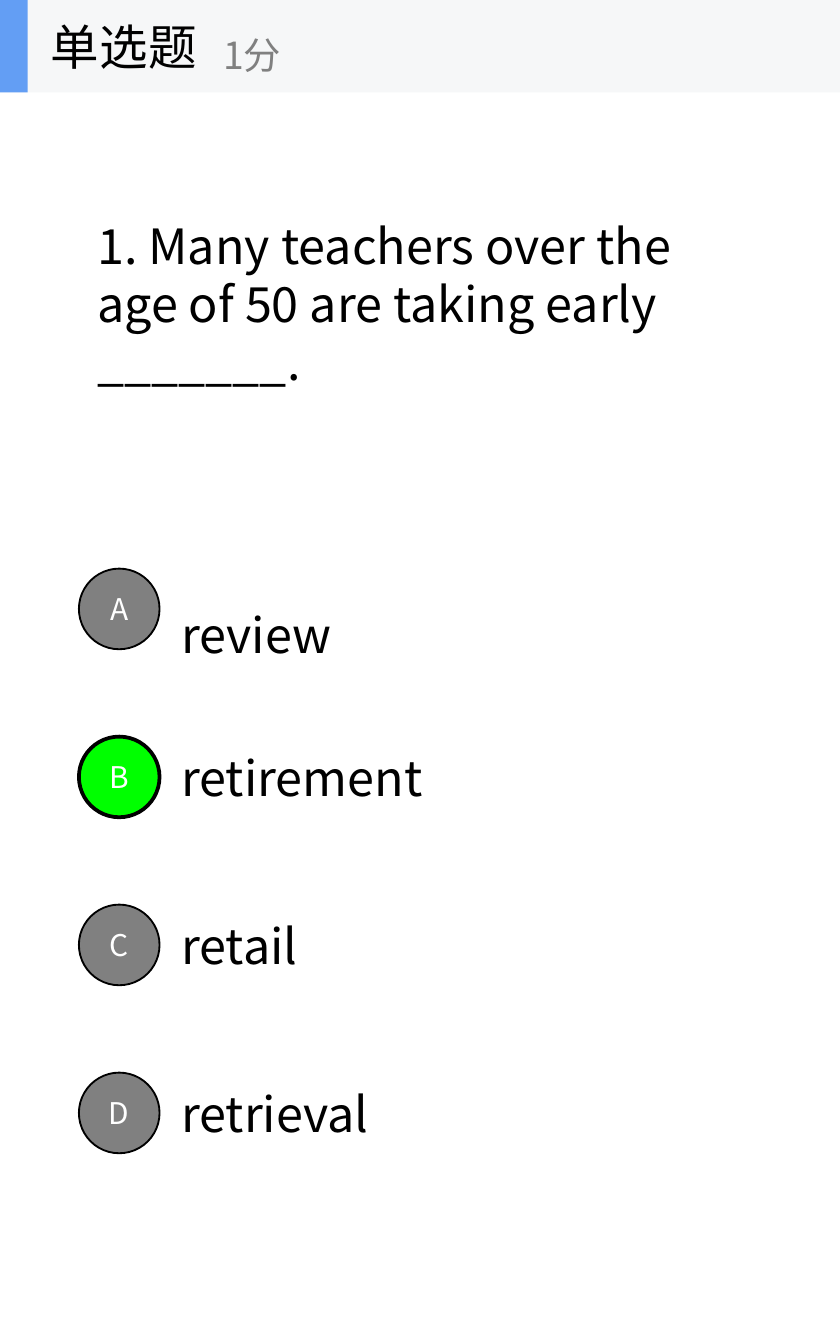
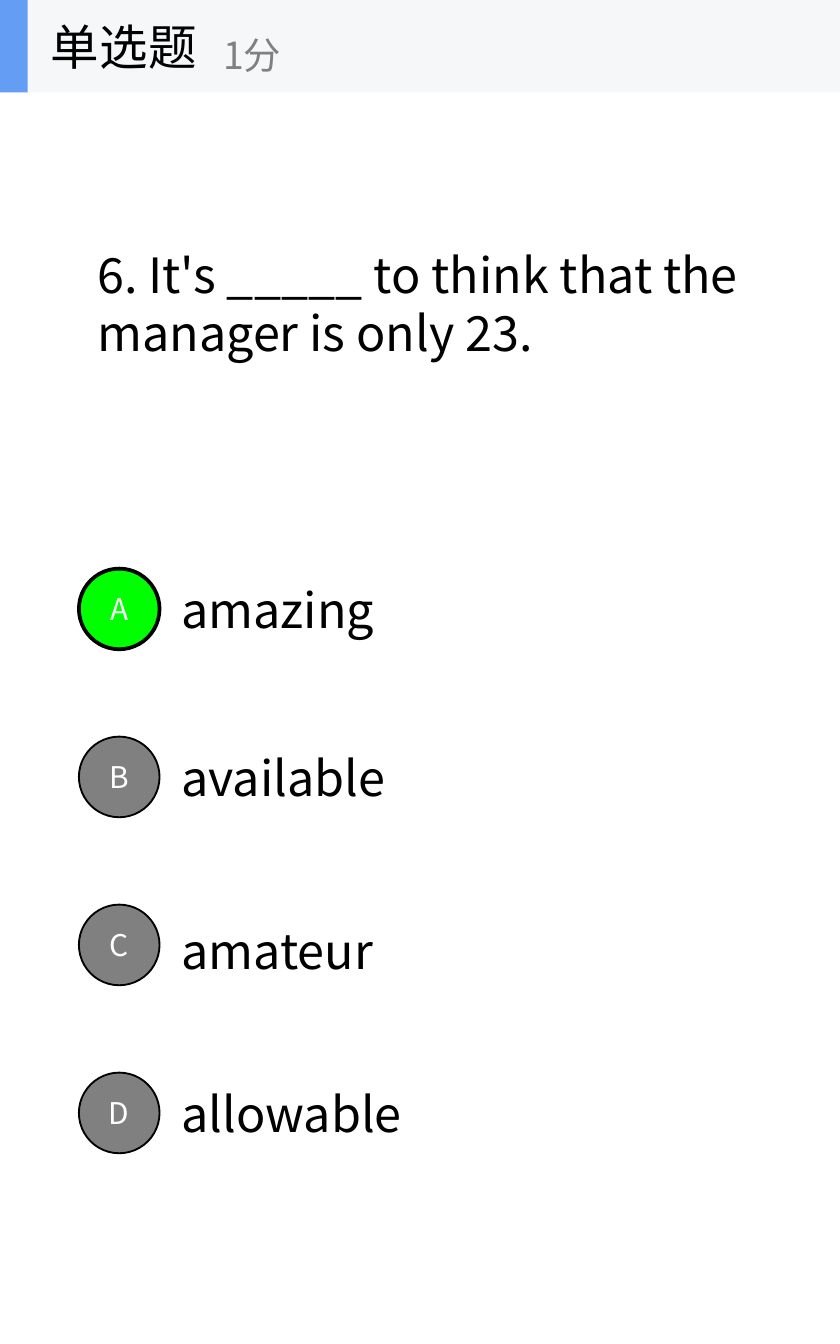
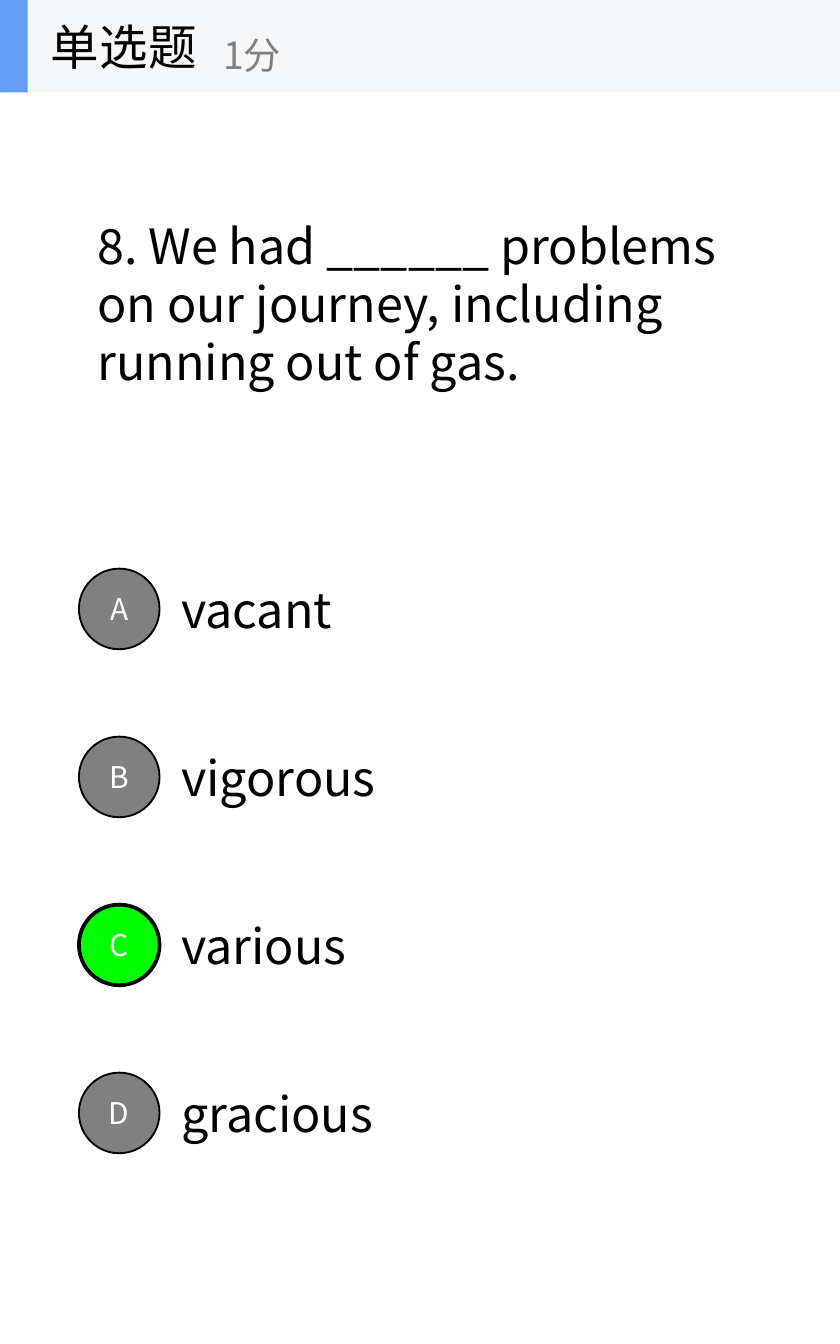
from lxml import etree
from pptx import Presentation
from pptx.dml.color import RGBColor
from pptx.enum.shapes import MSO_SHAPE
from pptx.enum.text import MSO_ANCHOR, PP_ALIGN
from pptx.oxml.ns import qn
from pptx.util import Inches, Pt

RECTANGLE = MSO_SHAPE.RECTANGLE
OVAL = MSO_SHAPE.OVAL
MIDDLE = MSO_ANCHOR.MIDDLE
LEFT = PP_ALIGN.LEFT
CENTER = PP_ALIGN.CENTER

COLORS = {
    "ink": "000000",
    "muted": "808080",
    "correct": "00FF00",
    "band": "F6F7F8",
    "accent": "639EF4",
    "white": "FFFFFF",
}
FONT = "Noto Sans CJK SC"
COLUMNS, ROWS = 10, 16
BAND_HEIGHT = 1.1
LINE_HEIGHT = 0.7
TEXT_PADDING = 0.16
QUESTION_MIDDLE = 3.61
FIRST_OPTION, OPTION_STEP = 7.25, 2
BADGE_LEFT, BADGE_SIZE = 0.94, 0.96

QUESTIONS = [
    {
        "text": "1. Many teachers over the age of 50 are taking early _______.",
        "width": 7.73, "lines": 3, "answer": "B",
        "options": [("review", 2.32, 2, 0.3), ("retirement", 4.1, 1, 0),
                    ("retail", 3.74, 1, 0), ("retrieval", 3.81, 1, 0)],
    },
    {
        "text": "6. It's _____ to think that the manager is only 23.",
        "width": 7.98, "lines": 2, "answer": "A",
        "options": [("amazing", 6.26, 1, 0), ("available", 5.65, 1, 0),
                    ("amateur", 6, 1, 0.06), ("allowable", 3.63, 1, 0)],
    },
    {
        "text": "8. We had ______ problems on our journey, including running out of gas.",
        "width": 7.98, "lines": 3, "answer": "C",
        "options": [("vacant", 6.56, 1, 0), ("vigorous", 6.56, 1, 0),
                    ("various", 6.4, 1, 0), ("gracious", 6.4, 1, 0)],
    },
]


class QuizDeck:
    def __init__(self):
        self.presentation = Presentation()
        self.presentation.slide_width = Inches(6.25)
        self.presentation.slide_height = Inches(10)
        self.slide = None

    def new_slide(self):
        self.slide = self.presentation.slides.add_slide(self.presentation.slide_layouts[6])

    def place(self, left, top, width, height):
        column = self.presentation.slide_width / COLUMNS
        row = self.presentation.slide_height / ROWS
        return round(left * column), round(top * row), round(width * column), round(height * row)

    def fill_text(self, shape, text, size, color, align=LEFT, wrap=True):
        frame = shape.text_frame
        frame.word_wrap = wrap
        frame.vertical_anchor = MIDDLE
        paragraph = frame.paragraphs[0]
        paragraph.alignment = align
        run = paragraph.add_run()
        run.text = text
        run.font.size = Pt(size)
        run.font.name = FONT
        run.font.color.rgb = RGBColor.from_string(COLORS[color])
        etree.SubElement(run.font._element, qn("a:ea"), typeface=FONT)

    def text(self, box, text, size=26, color="ink", wrap=True, shapes=None):
        shapes = self.slide.shapes if shapes is None else shapes
        self.fill_text(shapes.add_textbox(*self.place(*box)), text, size, color, wrap=wrap)

    def centered_text(self, left, middle, width, lines, text):
        height = lines * LINE_HEIGHT + TEXT_PADDING
        self.text((left, middle - height / 2, width, height), text)

    def filled(self, kind, box, fill, line_width=0, shapes=None):
        shapes = self.slide.shapes if shapes is None else shapes
        shape = shapes.add_shape(kind, *self.place(*box))
        shape.shadow.inherit = False
        shape.fill.solid()
        shape.fill.fore_color.rgb = RGBColor.from_string(COLORS[fill])
        if line_width:
            shape.line.color.rgb = RGBColor.from_string(COLORS["ink"])
            shape.line.width = Pt(line_width)
        else:
            shape.line.fill.background()
        return shape

    def badge(self, letter, middle, correct):
        box = (BADGE_LEFT, middle - BADGE_SIZE / 2, BADGE_SIZE, BADGE_SIZE)
        fill, line_width = ("correct", 2) if correct else ("muted", 1)
        self.fill_text(self.filled(OVAL, box, fill, line_width), letter, 16, "white", CENTER)

    def header(self):
        shapes = self.slide.shapes.add_group_shape().shapes
        self.filled(RECTANGLE, (0, 0, COLUMNS, BAND_HEIGHT), "band", shapes=shapes)
        self.filled(RECTANGLE, (0, 0, 0.33, BAND_HEIGHT), "accent", shapes=shapes)
        self.text((0.45, 0, 3.33, BAND_HEIGHT), "单选题", wrap=False, shapes=shapes)
        self.text((2.5, 0.2, 4, 0.9), "1分", 20, "muted", wrap=False, shapes=shapes)

    def question(self, question):
        self.new_slide()
        self.centered_text(1, QUESTION_MIDDLE, question["width"], question["lines"], question["text"])
        for index, (letter, option) in enumerate(zip("ABCD", question["options"])):
            label, width, lines, drop = option
            middle = FIRST_OPTION + index * OPTION_STEP
            self.centered_text(2, middle + drop, width, lines, label)
            self.badge(letter, middle, letter == question["answer"])
        self.header()


def main():
    deck = QuizDeck()
    for question in QUESTIONS:
        deck.question(question)
    deck.presentation.save("out.pptx")


if __name__ == "__main__":
    main()
